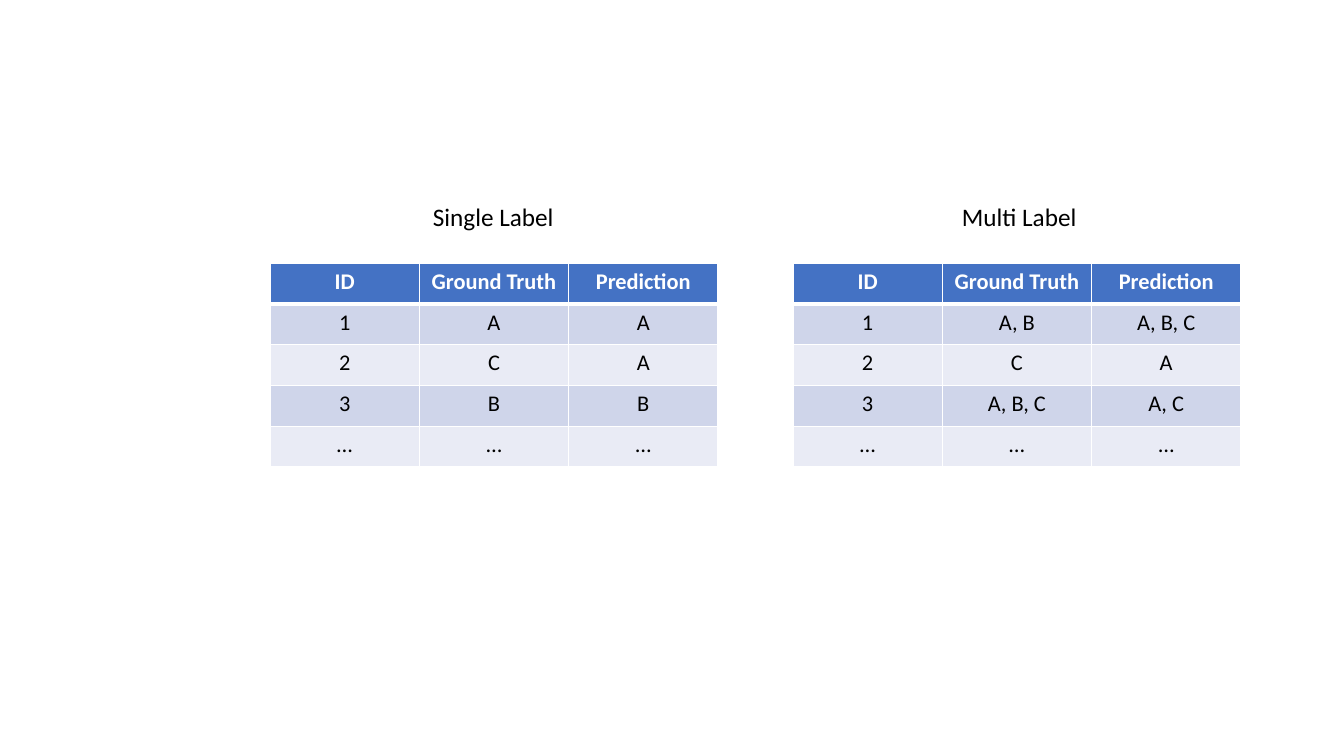
"""Build a slide comparing single-label and multi-label prediction tables."""
import pptx
import pptx.dml.color
import pptx.enum.text
import pptx.oxml.ns
import pptx.util
from lxml import etree

SCALE = 914400 / 100.8
FONT = "Calibri"
COLORS = {"header": "4472C4", "odd": "CFD5EA", "even": "E9EBF5",
          "white": "FFFFFF", "black": "000000"}
HEADINGS = ("ID", "Ground Truth", "Prediction")
ELLIPSIS_ROW = ("…",) * 3
SINGLE_ROWS = [("1", "A", "A"), ("2", "C", "A"), ("3", "B", "B"), ELLIPSIS_ROW]
MULTI_ROWS = [("1", "A, B", "A, B, C"), ("2", "C", "A"),
              ("3", "A, B, C", "A, C"), ELLIPSIS_ROW]


def px(length):
    return pptx.util.Emu(round(length * SCALE))


def rgb(name):
    return pptx.dml.color.RGBColor.from_string(COLORS[name])


def format_run(run, size, color, bold=False):
    run.font.name = FONT
    run.font.size = pptx.util.Pt(size)
    run.font.bold = bold
    run.font.color.rgb = rgb(color)


def add_borders(cell, row):
    widths = {"lnL": 1, "lnR": 1, "lnT": 3 if row == 1 else 1,
              "lnB": 3 if row == 0 else 1}
    properties = cell._tc.get_or_add_tcPr()
    for side, width in widths.items():
        border = etree.SubElement(properties, pptx.oxml.ns.qn(f"a:{side}"),
                                  w=str(pptx.util.Pt(width)))
        fill = etree.SubElement(border, pptx.oxml.ns.qn("a:solidFill"))
        etree.SubElement(fill, pptx.oxml.ns.qn("a:srgbClr"), val=COLORS["white"])


def add_caption(slide, box, wording):
    caption = slide.shapes.add_textbox(*map(px, box))
    caption.text_frame.word_wrap = False
    caption.text_frame.text = wording
    format_run(caption.text_frame.paragraphs[0].runs[0], 18, "black")


def add_predictions(slide, box, samples):
    rows = [HEADINGS, *samples]
    predictions = slide.shapes.add_table(len(rows), len(HEADINGS), *map(px, box)).table
    for row, values in enumerate(rows):
        header = row == 0
        band = "header" if header else "odd" if row % 2 else "even"
        for column, value in enumerate(values):
            cell = predictions.cell(row, column)
            add_borders(cell, row)
            cell.fill.solid()
            cell.fill.fore_color.rgb = rgb(band)
            cell.text_frame.text = value
            paragraph = cell.text_frame.paragraphs[0]
            paragraph.alignment = pptx.enum.text.PP_ALIGN.CENTER
            format_run(paragraph.runs[0], 16, "white" if header else "black", header)


def main():
    presentation = pptx.Presentation()
    presentation.slide_width = px(1344)
    presentation.slide_height = px(756)
    slide = presentation.slides.add_slide(presentation.slide_layouts[6])
    add_predictions(slide, (270, 263, 448, 204), SINGLE_ROWS)
    add_predictions(slide, (793, 263, 448, 204), MULTI_ROWS)
    add_caption(slide, (423, 196, 143, 40), "Single Label")
    add_caption(slide, (952, 196, 136, 40), "Multi Label")
    presentation.save("out.pptx")


main()
